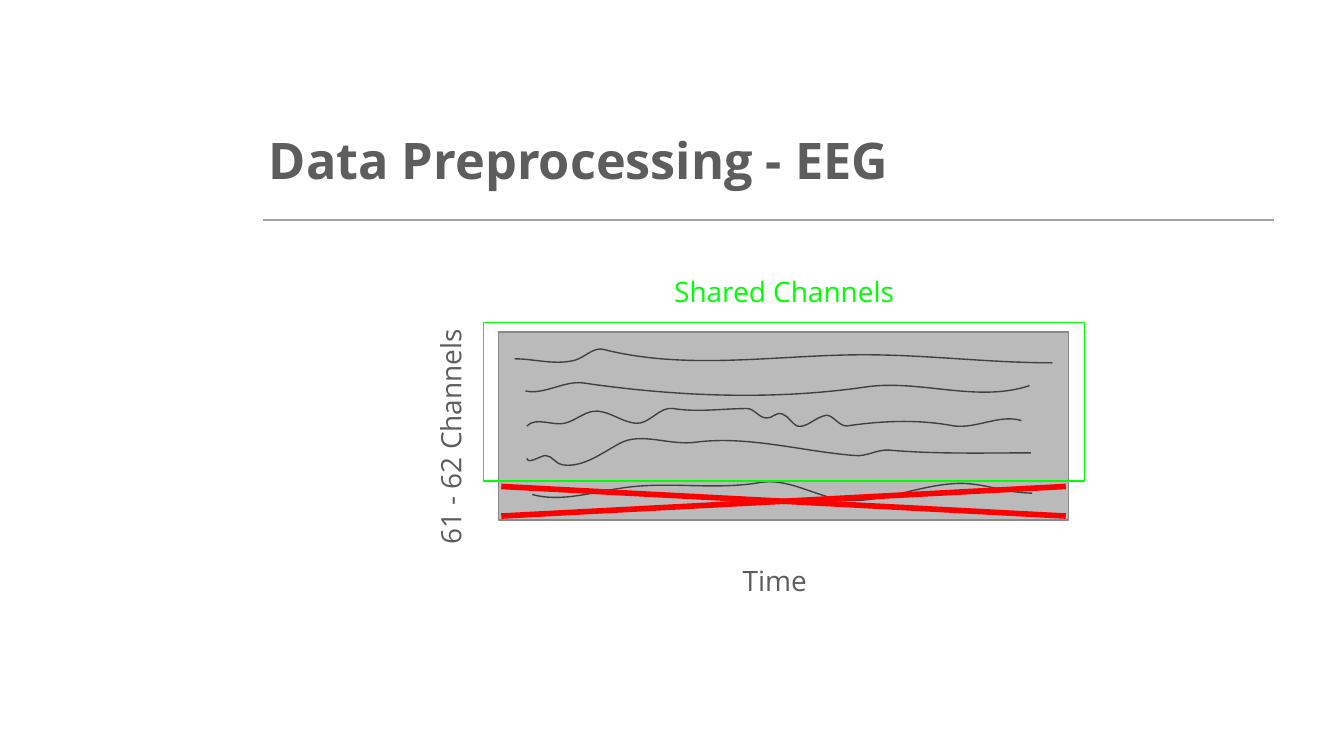
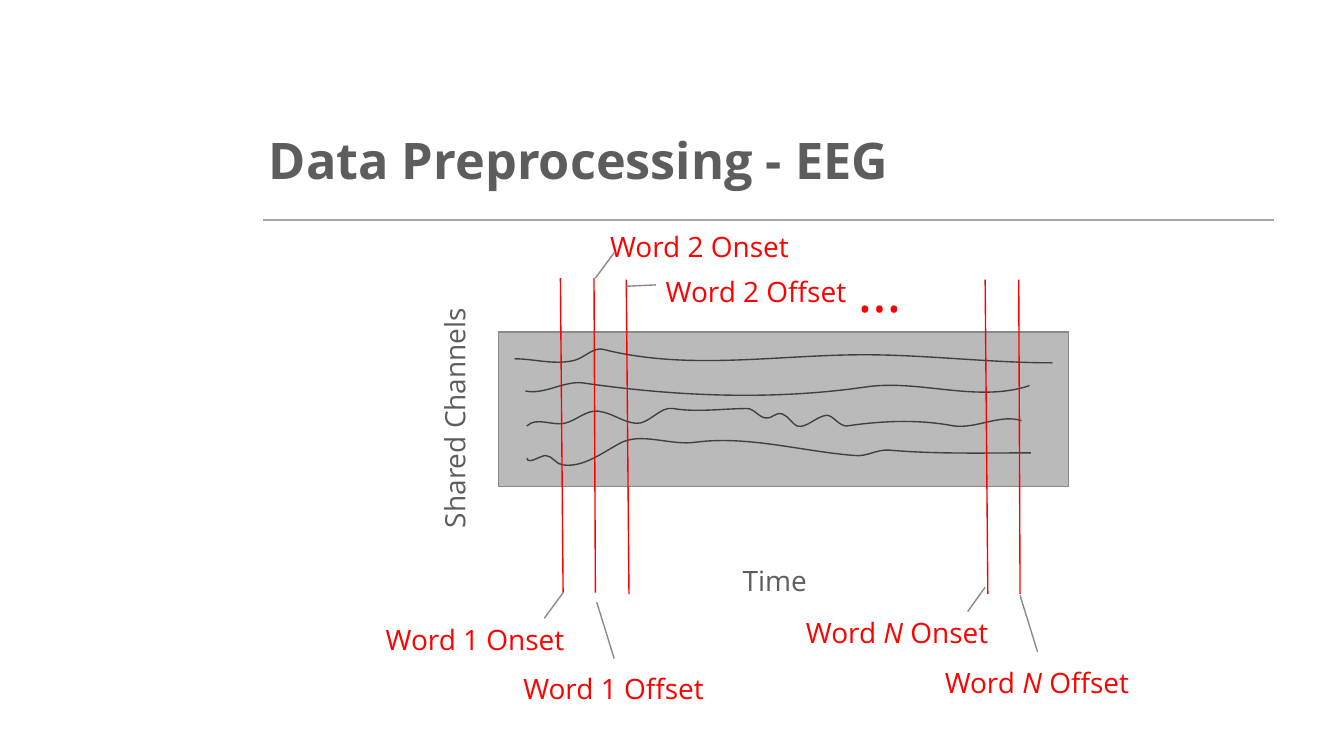
from lxml import etree
from pptx import Presentation
from pptx import util as u
from pptx.dml.color import RGBColor
from pptx.enum import shapes, text
from pptx.oxml.ns import qn

PX = 9144  # 100 px to the inch
FONT = "Open Sans"
GREY, RULE, EDGE, PANEL, INK = "5D5D5D", "A5A5A5", "898989", "BABABA", "404040"
RED, GREEN = "FF0000", "00FF00"
LABEL_W, LABEL_H = 315, 64
PANEL_X, PANEL_Y, PANEL_W = 371, 247, 424

# Each wave: top, height, then its start and Bezier points, from the panel corner
WAVES = [
    (12, 10, [(12, 20), (27, 20), (42, 25), (57, 21), (64, 19), (71, 11), (78, 13),
              (141, 29), (207, 17), (272, 17), (319, 17), (365, 23), (412, 23)]),
    (38, 10, [(20, 44), (34, 47), (49, 36), (63, 38), (132, 48), (204, 51), (273, 41),
              (313, 35), (356, 53), (395, 40)]),
    (57, 14, [(21, 70), (28, 63), (40, 70), (49, 68), (58, 66), (65, 58), (74, 59),
              (84, 60), (92, 67), (102, 68), (112, 69), (120, 55), (130, 57),
              (148, 60), (167, 57), (185, 57), (190, 57), (194, 64), (199, 64),
              (203, 65), (207, 59), (211, 61), (216, 63), (218, 68), (222, 70),
              (229, 72), (236, 63), (244, 62), (249, 62), (253, 70), (259, 70),
              (286, 66), (313, 65), (339, 70), (356, 72), (373, 61), (389, 66)]),
    (79, 21, [(21, 94), (22, 99), (31, 92), (35, 92), (40, 92), (43, 99), (48, 99),
              (63, 101), (77, 90), (90, 83), (106, 74), (128, 85), (147, 82),
              (186, 77), (226, 89), (265, 92), (274, 93), (282, 87), (291, 88),
              (326, 91), (361, 90), (396, 90)]),
    (111, 14, [(25, 121), (47, 127), (70, 119), (93, 116), (127, 111), (161, 118),
               (195, 112), (214, 109), (232, 120), (250, 124), (279, 130), (308, 115),
               (338, 113), (357, 111), (377, 120), (397, 120)]),
]


def px(*values):
    return [u.Emu(int(v * PX)) for v in values]


def color(hex_value):
    return RGBColor.from_string(hex_value)


def style(sp, line, weight=0.75, fill=None):
    sp.shadow.inherit = False
    sp.line.color.rgb = color(line)
    sp.line.width = u.Pt(weight)
    if fill:
        sp.fill.solid()
        sp.fill.fore_color.rgb = color(fill)
    else:
        sp.fill.background()


def add_rect(s, x, y, w, h, line, fill=None):
    sp = s.shapes.add_shape(shapes.MSO_SHAPE.RECTANGLE, *px(x, y, w, h))
    style(sp, line, fill=fill)


def add_line(s, x1, y1, x2, y2, line, weight=0.75):
    c = s.shapes.add_connector(shapes.MSO_CONNECTOR.STRAIGHT, *px(x1, y1, x2, y2))
    c.line.color.rgb = color(line)
    c.line.width = u.Pt(weight)
    etree.SubElement(c.element.spPr, qn("a:effectLst"))


def add_text(s, x, y, runs, ink=GREY, w=LABEL_W, h=LABEL_H, size=15, inset=10,
             bold=False, rotation=0, anchor=text.MSO_ANCHOR.TOP,
             align=text.PP_ALIGN.CENTER):
    """Write runs in one paragraph; every second run is italic."""
    tb = s.shapes.add_textbox(*px(x, y, w, h))
    tb.rotation = rotation
    tf = tb.text_frame
    frame = {"word_wrap": True, "vertical_anchor": anchor}
    for side in ("left", "top", "right", "bottom"):
        frame["margin_" + side] = px(inset)[0]
    for name, value in frame.items():
        setattr(tf, name, value)
    p = tf.paragraphs[0]
    p.alignment = align
    for i, words in enumerate(runs):
        r = p.add_run()
        r.text = words
        font = {"name": FONT, "size": u.Pt(size), "bold": bold, "italic": i % 2 == 1}
        for name, value in font.items():
            setattr(r.font, name, value)
        r.font.color.rgb = color(ink)
    return p


def add_wave(s, x, y, top, height, points):
    """Draw a smooth open curve; x, y is the panel corner."""
    left, right = points[0][0], points[-1][0]
    fb = s.shapes.build_freeform(x + left, y + top, scale=PX)
    fb.add_line_segments([(x + right, y + top + height)], close=False)
    sp = fb.convert_to_shape()
    style(sp, INK)
    # Replace the diagonal with Bezier segments
    outline = next(sp.element.iter(qn("a:path")))
    for child in list(outline):
        outline.remove(child)
    segments = [("a:moveTo", points[:1])]
    segments += [("a:cubicBezTo", points[i:i + 3]) for i in range(1, len(points), 3)]
    for tag, group in segments:
        node = etree.SubElement(outline, qn(tag))
        for px_x, px_y in group:
            etree.SubElement(node, qn("a:pt"), x=str(px_x - left), y=str(px_y - top))


def add_header(prs, title):
    s = prs.slides.add_slide(prs.slide_layouts[6])
    add_line(s, 196, 164, 948, 164, RULE, 1)
    p = add_text(s, 196, 95, [title], w=483, h=53, size=27, inset=4, bold=True,
                 anchor=text.MSO_ANCHOR.MIDDLE, align=text.PP_ALIGN.LEFT)
    p.line_spacing = 0.9
    p.space_before = u.Pt(8)
    return s


def add_signal_panel(s, x, y, w, h, wave_count, side_label, side_x, side_y):
    add_rect(s, x, y, w, h, EDGE, PANEL)
    for wave in WAVES[:wave_count]:
        add_wave(s, x, y, *wave)
    # Axis labels
    add_text(s, x + side_x, y + side_y, [side_label], rotation=270)
    add_text(s, x + 48, y + 162, ["Time"])


def add_channel_selection(s, x, y):
    # Kept channels
    add_rect(s, x - 11, y - 7, 447, 118, GREEN)
    add_text(s, x + 55, y - 53, ["Shared Channels"], GREEN)
    # Cross over the dropped channel
    for start, end in ((115, 137), (137, 115)):
        add_line(s, x + 2, y + start, x + 422, y + end, RED, 3)


def add_word_marks(s, x, y):
    # Word boundaries: top x, top y, slant
    for mx, my, slant in ((46, -40, 2), (71, -40, 1), (95, -39, 2),
                          (362, -39, 2), (387, -39, 1)):
        add_line(s, x + mx, y + my, x + mx + slant, y + my + 234, RED)
    add_text(s, x + 212, y - 66, ["…"], RED, w=143, h=40, size=30)
    # Labels, each with its leader line
    for lx, ly, runs, (x1, y1, x2, y2) in (
        (-175, 206, ["Word 1 Onset"], (34, 213, 48, 194)),
        (-72, 243, ["Word 1 Offset"], (86, 243, 73, 201)),
        (-8, -86, ["Word 2 Onset"], (72, -40, 86, -59)),
        (34, -53, ["Word 2 Offset"], (95, -34, 117, -35)),
        (139, 201, ["Word ", "N", " Onset"], (349, 208, 362, 190)),
        (243, 238, ["Word ", "N", " Offset"], (401, 238, 388, 196)),
    ):
        add_text(s, x + lx, y + ly, runs, RED)
        add_line(s, x + x1, y + y1, x + x2, y + y2, EDGE)


def main():
    prs = Presentation()
    prs.slide_width, prs.slide_height = px(1000, 1000 * 9 / 16)
    title = "Data Preprocessing - EEG"

    # Choosing the channels
    s = add_header(prs, title)
    add_signal_panel(s, PANEL_X, PANEL_Y, PANEL_W, 140, 5, "61 - 62 Channels", -184, 46)
    add_channel_selection(s, PANEL_X, PANEL_Y)

    # Splitting the signal by word
    s = add_header(prs, title)
    add_signal_panel(s, PANEL_X, PANEL_Y, PANEL_W, 115, 4, "Shared Channels", -181, 32)
    add_word_marks(s, PANEL_X, PANEL_Y)

    prs.save("out.pptx")


if __name__ == "__main__":
    main()
